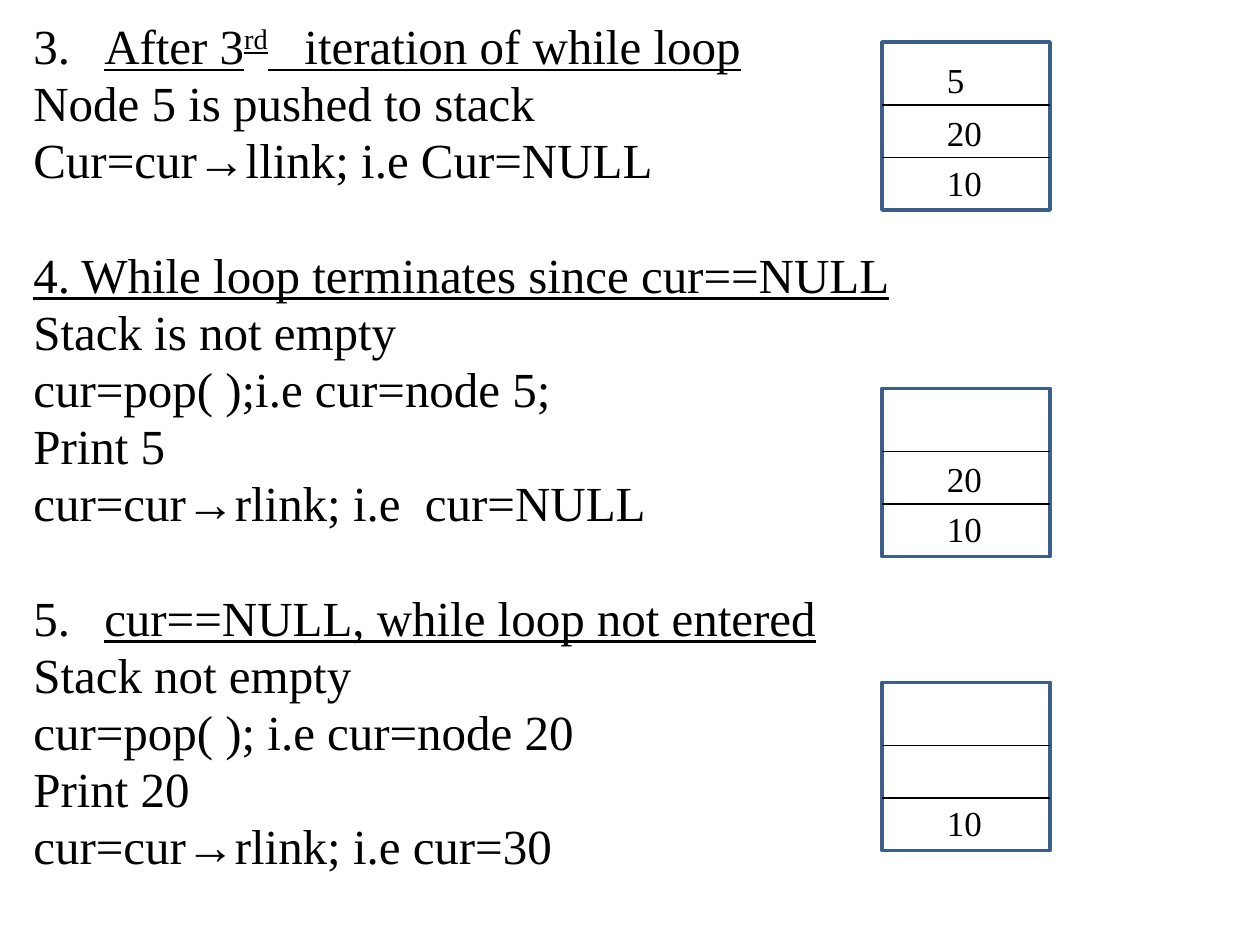
from lxml.etree import SubElement
from pptx import Presentation
from pptx.dml.color import RGBColor
from pptx.enum.shapes import MSO_CONNECTOR, MSO_SHAPE
from pptx.oxml.ns import qn
from pptx.util import Pt

BLACK = RGBColor(0x00, 0x00, 0x00)
WHITE = RGBColor(0xFF, 0xFF, 0xFF)
BLUE = RGBColor(0x3A, 0x5F, 0x8C)
FONT = "Times New Roman"

# Each step: list number (or None), heading as (text, superscript) runs, lines
STEPS = [
    (3, [("After 3", False), ("rd", True), ("   iteration of while loop", False)],
     ["Node 5 is pushed to stack",
      "Cur=cur→llink; i.e Cur=NULL"]),
    (None, [("4. While loop terminates since cur==NULL", False)],
     ["Stack is not empty",
      "cur=pop( );i.e cur=node 5;",
      "Print 5",
      "cur=cur→rlink; i.e  cur=NULL"]),
    (5, [("cur==NULL, while loop not entered", False)],
     ["Stack not empty",
      "cur=pop( ); i.e cur=node 20",
      "Print 20",
      "cur=cur→rlink; i.e cur=30"]),
]

# Each stack: top edge and its three rows from the top down
STACKS = [
    (24, ["5", "20", "10"]),
    (222, ["", "20", "10"]),
    (390, ["", "", "10"]),
]
STACK_LEFT, STACK_SIZE = 504, 96
DIVIDERS = [36, 66]
LABEL_TOPS = [6, 36, 64.5]

LINE, GAP, INDENT = 27, 5.65, 40.5


def add_run(p, text, size=28, underline=False, superscript=False):
    r = p.add_run()
    r.text = text
    r.font.name = FONT
    r.font.size = Pt(size)
    r.font.color.rgb = BLACK
    r.font.underline = underline
    if superscript:
        r.font._element.set("baseline", "30000")


def add_text_box(s, left, top, width, height):
    tf = s.shapes.add_textbox(Pt(left), Pt(top), Pt(width), Pt(height)).text_frame
    tf.word_wrap = True
    return tf


def format_paragraph(p, before, number=None):
    p.line_spacing = Pt(LINE)
    p.space_before = Pt(before)
    if number:
        pPr = p._p.get_or_add_pPr()
        pPr.set("marL", str(Pt(INDENT)))
        pPr.set("indent", str(-Pt(INDENT)))
        SubElement(pPr, qn("a:buFont"), typeface="+mj-lt")
        SubElement(pPr, qn("a:buAutoNum"), type="arabicPeriod", startAt=str(number))


def add_steps(s):
    tf = add_text_box(s, 12, 12, 696, 516)
    for i, (number, heading, lines) in enumerate(STEPS):
        p = tf.add_paragraph() if i else tf.paragraphs[0]
        # A step starts one line lower than the usual gap
        format_paragraph(p, LINE + 2 * GAP if i else 0, number)
        for text, superscript in heading:
            add_run(p, text, underline=True, superscript=superscript)
        for text in lines:
            p = tf.add_paragraph()
            format_paragraph(p, GAP)
            add_run(p, text)


def add_stack(s, top, rows):
    # Frame
    sp = s.shapes.add_shape(MSO_SHAPE.RECTANGLE, Pt(STACK_LEFT), Pt(top),
                            Pt(STACK_SIZE), Pt(STACK_SIZE))
    sp.shadow.inherit = False
    sp.fill.solid()
    sp.fill.fore_color.rgb = WHITE
    sp.line.color.rgb = BLUE
    sp.line.width = Pt(2)
    # Row dividers
    for offset in DIVIDERS:
        y = Pt(top + offset)
        line = s.shapes.add_connector(MSO_CONNECTOR.STRAIGHT, Pt(STACK_LEFT), y,
                                      Pt(STACK_LEFT + STACK_SIZE), y)
        line.line.color.rgb = BLACK
        line.line.width = Pt(0.75)
        SubElement(line._element.spPr, qn("a:effectLst"))
    # Row values
    for offset, value in zip(LABEL_TOPS, rows):
        if value:
            tf = add_text_box(s, STACK_LEFT + 30, top + offset, 42, 31.5)
            add_run(tf.paragraphs[0], value, size=20)


def main():
    prs = Presentation()
    prs.slide_width, prs.slide_height = Pt(720), Pt(540)
    s = prs.slides.add_slide(prs.slide_layouts[6])
    add_steps(s)
    for top, rows in STACKS:
        add_stack(s, top, rows)
    prs.save("out.pptx")


if __name__ == "__main__":
    main()
